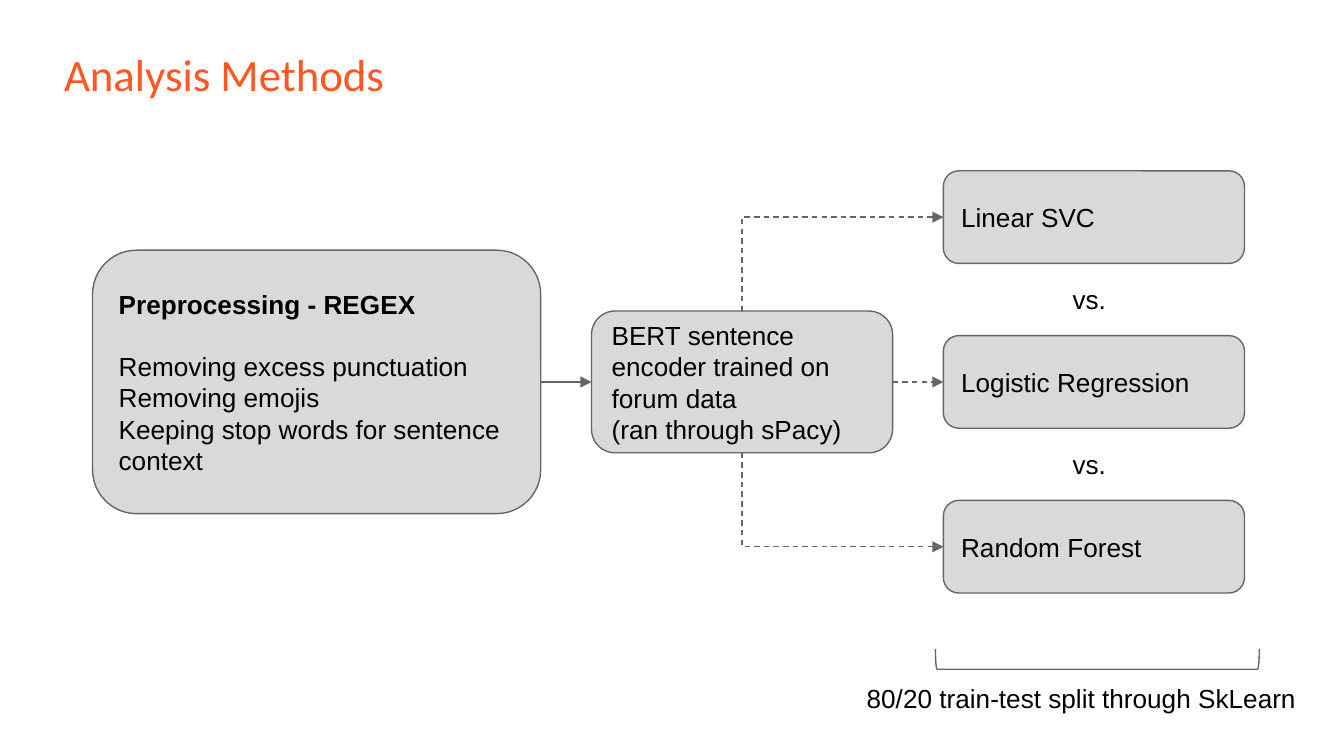
from lxml import etree
from pptx import Presentation
from pptx.dml.color import RGBColor
from pptx.enum.dml import MSO_LINE
from pptx.enum.shapes import MSO_CONNECTOR, MSO_SHAPE
from pptx.enum.text import MSO_ANCHOR, MSO_AUTO_SIZE, PP_ALIGN
from pptx.oxml.ns import qn
from pptx.util import Cm, Pt

STRAIGHT, ELBOW = MSO_CONNECTOR.STRAIGHT, MSO_CONNECTOR.ELBOW
ROUNDED, BRACKET = MSO_SHAPE.ROUNDED_RECTANGLE, MSO_SHAPE.LEFT_BRACKET
TOP, MIDDLE = MSO_ANCHOR.TOP, MSO_ANCHOR.MIDDLE
LEFT = PP_ALIGN.LEFT
NO_AUTOFIT = MSO_AUTO_SIZE.NONE
DASH = MSO_LINE.DASH
SITE_TOP, SITE_LEFT, SITE_BOTTOM, SITE_RIGHT = range(4)

BLACK, GREY, LIGHT_GREY, ORANGE = "000000", "666666", "D9D9D9", "FF5722"
INSET = Cm(0.25)


def color(hex_string):
    return RGBColor.from_string(hex_string)


def style_line(line):
    line.color.rgb = color(GREY)
    line.width = Pt(0.75)


def set_text(shape, text, anchor=TOP, wrap=True, font="Arial", size=14, font_color=BLACK):
    frame = shape.text_frame
    frame.text = text
    frame.word_wrap = wrap
    frame.auto_size = NO_AUTOFIT
    frame.vertical_anchor = anchor
    frame.margin_left = frame.margin_right = INSET
    frame.margin_top = frame.margin_bottom = INSET
    for paragraph in frame.paragraphs:
        paragraph.alignment = LEFT
        for run in paragraph.runs:
            run.font.name = font
            run.font.size = Pt(size)
            run.font.color.rgb = color(font_color)


def add_title(slide, left, top, width, height):
    title = slide.shapes.title
    title.left, title.top = Cm(left), Cm(top)
    title.width, title.height = Cm(width), Cm(height)
    set_text(title, "Analysis Methods", font="Calibri", size=24, font_color=ORANGE)
    title.text_frame.paragraphs[0].line_spacing = 1.08


def add_step(slide, text, left, top, width, height):
    step = slide.shapes.add_shape(ROUNDED, Cm(left), Cm(top), Cm(width), Cm(height))
    step.shadow.inherit = False
    step.fill.solid()
    step.fill.fore_color.rgb = color(LIGHT_GREY)
    style_line(step.line)
    set_text(step, text, anchor=MIDDLE)
    return step


def add_label(slide, text, left, top, width, height, wrap=True):
    label = slide.shapes.add_textbox(Cm(left), Cm(top), Cm(width), Cm(height))
    set_text(label, text, wrap=wrap)


def add_preprocessing(slide, left, top, width, height):
    lines = [
        "Preprocessing - REGEX",
        "Removing excess punctuation",
        "Removing emojis",
        "Keeping stop words for sentence context",
    ]
    step = add_step(slide, "\n".join(lines), left, top, width, height)
    heading = step.text_frame.paragraphs[0]
    heading.space_after = Pt(16.5)
    heading.runs[0].font.bold = True
    return step


def add_classifiers(slide, left, top, width, height):
    """Stack the rivals at equal gaps, with a "vs." in each gap."""
    names = ["Linear SVC", "Logistic Regression", "Random Forest"]
    box_height = 1.75
    pitch = (height - box_height) / (len(names) - 1)
    boxes = []
    for index, name in enumerate(names):
        box_top = top + index * pitch
        boxes.append(add_step(slide, name, left, box_top, width, box_height))
        if index:
            add_label(slide, "vs.", left + 2.19, box_top - 1.23, 1.12, 1.12, wrap=False)
    return boxes


def add_split_note(slide, left, top, width, height):
    """Place an upward bracket with its caption underneath."""
    depth, span = 0.38, 6.12
    bracket = slide.shapes.add_shape(
        BRACKET,
        Cm(left + (width - depth) / 2),
        Cm(top + (depth - span) / 2),
        Cm(depth),
        Cm(span),
    )
    bracket.rotation = 270
    bracket.shadow.inherit = False
    bracket.fill.background()
    style_line(bracket.line)
    add_label(slide, "80/20 train-test split through SkLearn",
              left, top + depth, width, height - depth)


def add_arrow(slide, source, source_site, target, kind=STRAIGHT, dashed=False):
    """Join a site of the source to the left side of the target."""
    arrow = slide.shapes.add_connector(kind, 0, 0, 0, 0)
    arrow.begin_connect(source, source_site)
    arrow.end_connect(target, SITE_LEFT)
    style_line(arrow.line)
    if dashed:
        arrow.line.dash_style = DASH
    line = arrow.line._get_or_add_ln()
    etree.SubElement(line, qn("a:tailEnd"), type="triangle")
    etree.SubElement(arrow._element.spPr, qn("a:effectLst"))
    return arrow


def add_corner_arrow(slide, source, source_site, target):
    """Run vertically from the source, then turn right into the target."""
    arrow = add_arrow(slide, source, source_site, target, ELBOW, dashed=True)
    center_x = (arrow.begin_x + arrow.end_x) // 2
    center_y = (arrow.begin_y + arrow.end_y) // 2
    goes_down = arrow.end_y > arrow.begin_y
    run, rise = arrow.width, arrow.height
    arrow.left, arrow.top = center_x - rise // 2, center_y - run // 2
    arrow.width, arrow.height = rise, run
    properties = arrow._element.spPr
    properties.find(qn("a:prstGeom")).set("prst", "bentConnector2")
    transform = properties.find(qn("a:xfrm"))
    transform.set("rot", str(270 * 60000))
    transform.set("flipH", "1" if goes_down else "0")
    transform.set("flipV", "0")


def build_slide(presentation):
    slide = presentation.slides.add_slide(presentation.slide_layouts[5])
    add_title(slide, 0.96, 0.56, 23.57, 1.6)
    preprocessing = add_preprocessing(slide, 1.75, 4.73, 8.47, 4.98)
    encoder = add_step(
        slide,
        "BERT sentence encoder trained on forum data\n(ran through sPacy)",
        11.18, 5.88, 5.69, 2.68,
    )
    upper, middle, lower = add_classifiers(slide, 17.83, 3.23, 5.69, 7.98)
    add_arrow(slide, preprocessing, SITE_RIGHT, encoder)
    add_arrow(slide, encoder, SITE_RIGHT, middle, dashed=True)
    add_corner_arrow(slide, encoder, SITE_TOP, upper)
    add_corner_arrow(slide, encoder, SITE_BOTTOM, lower)
    add_split_note(slide, 16.13, 12.27, 9.22, 1.5)


def main():
    presentation = Presentation()
    presentation.slide_width, presentation.slide_height = Cm(25.4), Cm(14.29)
    build_slide(presentation)
    presentation.save("out.pptx")


if __name__ == "__main__":
    main()
